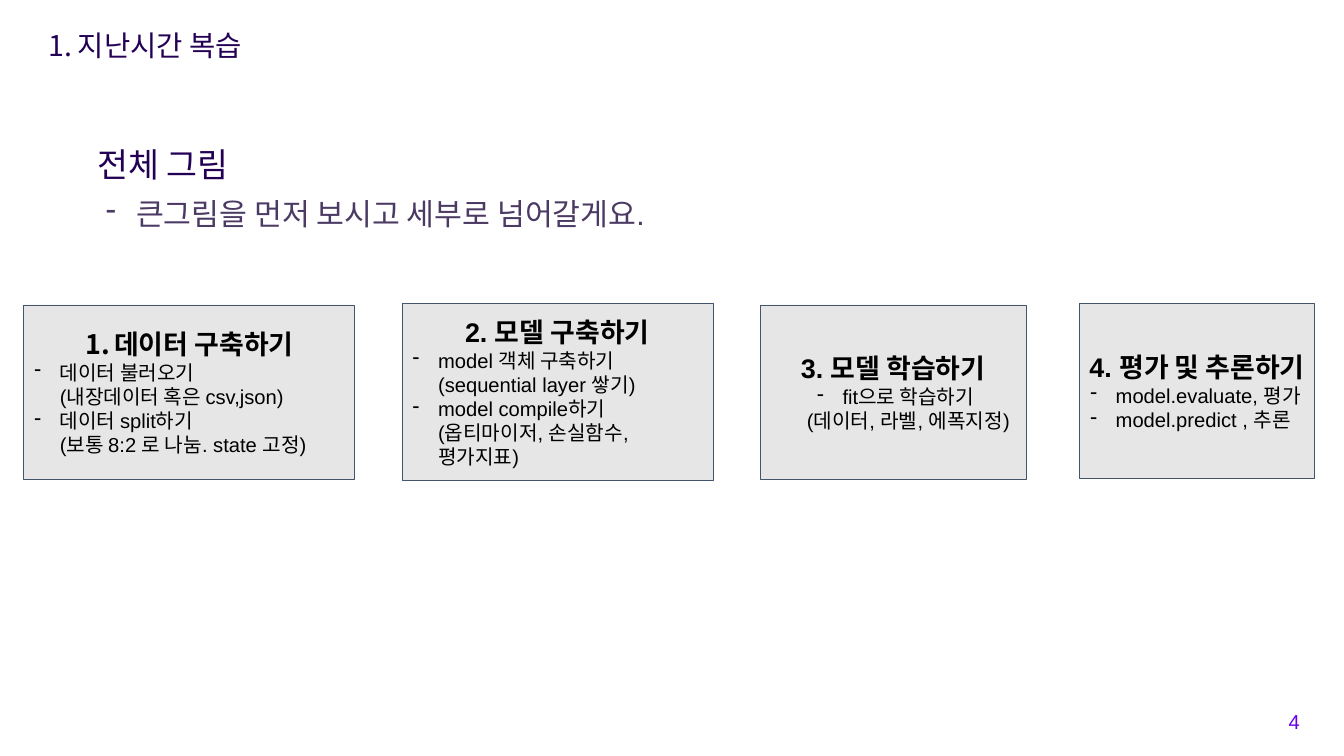
from lxml import etree
from pptx import Presentation
from pptx.dml.color import RGBColor
from pptx.enum.shapes import MSO_SHAPE
from pptx.enum.text import MSO_ANCHOR, PP_ALIGN
from pptx.oxml.ns import qn
from pptx.util import Inches, Pt

RECTANGLE = MSO_SHAPE.RECTANGLE
TOP, MIDDLE = MSO_ANCHOR.TOP, MSO_ANCHOR.MIDDLE
LEFT, CENTER, RIGHT = PP_ALIGN.LEFT, PP_ALIGN.CENTER, PP_ALIGN.RIGHT

INDIGO = RGBColor(0x23, 0x00, 0x54)
MUTED = RGBColor(0x4B, 0x3A, 0x64)
VIOLET = RGBColor(0x67, 0x00, 0xE6)
BLACK = RGBColor(0x00, 0x00, 0x00)
CARD_GREY = RGBColor(0xE7, 0xE6, 0xE6)
CARD_EDGE = RGBColor(0x44, 0x54, 0x6A)

NUMBER, DASH, PLAIN = "number", "dash", "plain"
BULLETS = {
    NUMBER: ("a:buAutoNum", {"type": "arabicPeriod"}),
    DASH: ("a:buChar", {"char": "-"}),
    PLAIN: ("a:buNone", {}),
}


class ReviewSlide:
    """Draws text and step cards on a grid of 100 columns by 100 rows."""

    def __init__(self, presentation, font="Arial"):
        self.font = font
        self.column = presentation.slide_width / 100
        self.row = presentation.slide_height / 100
        self.slide = presentation.slides.add_slide(presentation.slide_layouts[6])

    def place(self, left, top, width, height):
        return (round(left * self.column), round(top * self.row),
                round(width * self.column), round(height * self.row))

    def paragraph(self, frame, words, size, color, bullet=None, hang=0.0,
                  align=LEFT, bold=False, spacing=None):
        first = frame.paragraphs[0]
        paragraph = frame.add_paragraph() if first.runs else first
        paragraph.text = words
        paragraph.alignment = align
        if spacing:
            paragraph.line_spacing = spacing
        if bullet:
            properties = paragraph._p.get_or_add_pPr()
            properties.set("marL", str(Inches(0.5)))
            properties.set("indent", str(-Inches(hang)))
            if bullet != PLAIN:
                tint = etree.SubElement(properties, qn("a:buClr"))
                etree.SubElement(tint, qn("a:srgbClr"), val=str(color))
            tag, attributes = BULLETS[bullet]
            etree.SubElement(properties, qn(tag), attributes)
        for run in paragraph.runs:
            for name, value in {"name": self.font, "size": Pt(size), "bold": bold}.items():
                setattr(run.font, name, value)
            run.font.color.rgb = color

    def text(self, area, words, size, color, anchor=TOP, **options):
        frame = self.slide.shapes.add_textbox(*self.place(*area)).text_frame
        frame.word_wrap = True
        frame.vertical_anchor = anchor
        self.paragraph(frame, words, size, color, **options)

    def card(self, area, heading, details, numbered=False, align=LEFT):
        card = self.slide.shapes.add_shape(RECTANGLE, *self.place(*area))
        card.shadow.inherit = False
        card.fill.solid()
        card.fill.fore_color.rgb = CARD_GREY
        card.line.color.rgb = CARD_EDGE
        card.line.width = Pt(0.75)
        frame = card.text_frame
        margin = Inches(0.1)
        layout = {"word_wrap": True, "vertical_anchor": MIDDLE,
                  "margin_left": margin, "margin_right": margin,
                  "margin_top": margin, "margin_bottom": margin}
        for name, value in layout.items():
            setattr(frame, name, value)
        self.paragraph(frame, heading, 32, BLACK, align=CENTER, bold=True,
                       bullet=NUMBER if numbered else None, hang=0.47)
        for bullet, words in details:
            self.paragraph(frame, words, 24, BLACK, align=align, bullet=bullet,
                           hang=0 if bullet == PLAIN else 0.42)


def main():
    presentation = Presentation()
    presentation.slide_width = Inches(22.21)
    presentation.slide_height = Inches(12.5)
    review = ReviewSlide(presentation)

    review.text((3.11, 3.36, 78.39, 5.84), "지난시간 복습", 34, INDIGO,
                bullet=NUMBER, hang=0.49)
    review.text((6.8, 18.64, 67.76, 5.84), "전체 그림", 40, INDIGO)
    review.text((74.65, 92.8, 22.51, 5.36), "4", 24, VIOLET,
                anchor=MIDDLE, align=RIGHT)
    review.text((7.43, 23.04, 86.81, 15.36), "큰그림을 먼저 보시고 세부로 넘어갈게요.",
                36, MUTED, bullet=DASH, hang=0.5, spacing=1.5)

    review.card((1.76, 40.32, 24.58, 23.12), "데이터 구축하기", [
        (DASH, "데이터 불러오기"),
        (PLAIN, "(내장데이터 혹은 csv,json)"),
        (DASH, "데이터 split하기"),
        (PLAIN, "(보통 8:2 로 나눔. state 고정)"),
    ], numbered=True)
    review.card((29.9, 40.16, 23.14, 23.44), "2. 모델 구축하기", [
        (DASH, "model 객체 구축하기\v(sequential layer 쌓기)"),
        (DASH, "model compile하기\v(옵티마이저, 손실함수, 평가지표)"),
    ])
    review.card((56.55, 40.32, 19.81, 23.12), "3. 모델 학습하기", [
        (DASH, "fit으로 학습하기\v(데이터, 라벨, 에폭지정)"),
    ], align=CENTER)
    review.card((80.32, 40.16, 17.51, 23.12), "4. 평가 및 추론하기", [
        (DASH, "model.evaluate, 평가"),
        (DASH, "model.predict , 추론"),
    ])

    presentation.save("out.pptx")


if __name__ == "__main__":
    main()
